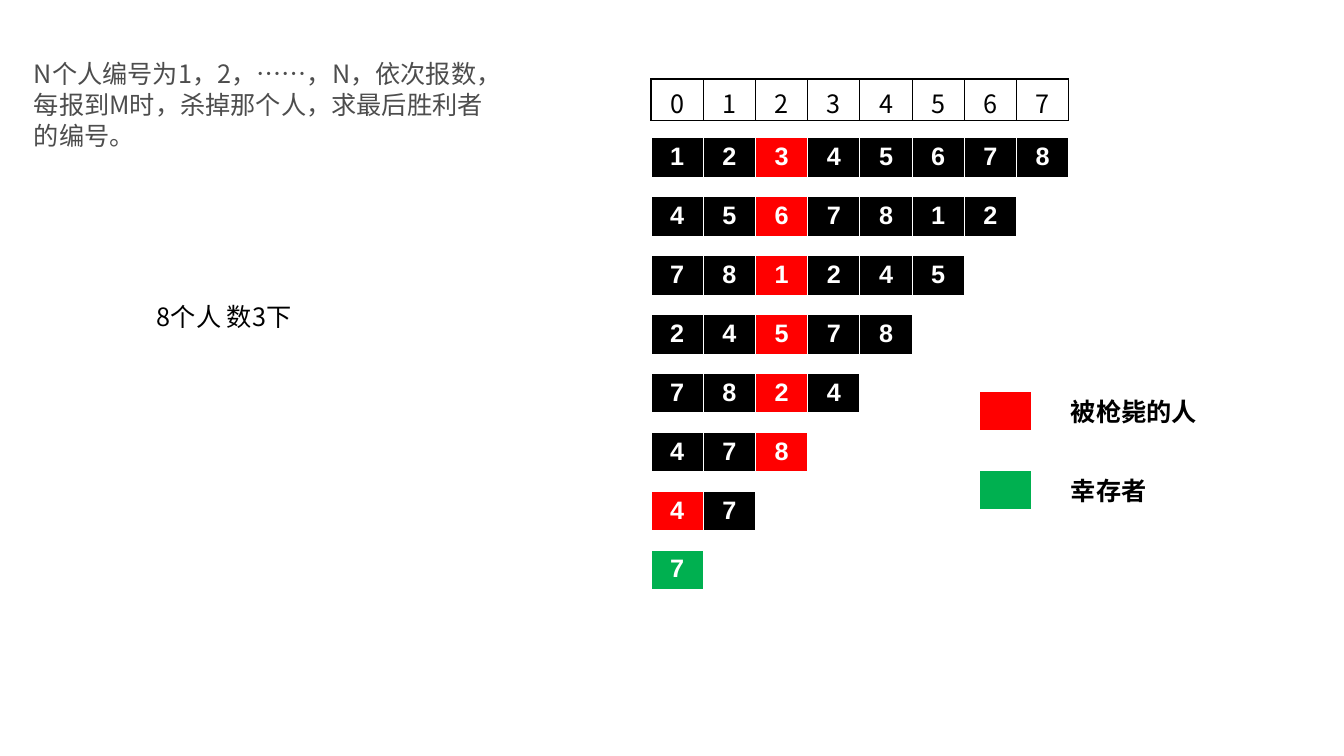
"""Build the Josephus elimination slide: eight people, counting to three."""
from lxml import etree
from pptx import Presentation
from pptx.dml.color import RGBColor
from pptx.enum.text import MSO_AUTO_SIZE, PP_ALIGN
from pptx.oxml.ns import qn
from pptx.util import Pt

PX = 914400 / 100.8
CENTER = PP_ALIGN.CENTER
FIT_SHAPE = MSO_AUTO_SIZE.SHAPE_TO_FIT_TEXT
BLACK, WHITE, GREY, RED, GREEN = "000000", "FFFFFF", "4D4D4D", "FF0000", "00B050"
SANS, CJK = "Arial", "Noto Sans CJK SC"
LEFT, TOP = 651, 79
COL, ROW, STEP = 418 / 8, 41, 471 / 8
PEOPLE, COUNT = 8, 3

prs = Presentation()
prs.slide_width, prs.slide_height = round(1344 * PX), round(756 * PX)
s = prs.slides.add_slide(prs.slide_layouts[6])


def style(p, font, color, bold):
    """Format every run of a paragraph."""
    for r in p.runs:
        r.font.size, r.font.name, r.font.bold = Pt(18), font, bold
        r.font.color.rgb = RGBColor.from_string(color)
        etree.SubElement(r._r.get_or_add_rPr(), qn("a:ea")).set("typeface", CJK)


def add_row(x, y, values, fills, color=WHITE, font=SANS, line=WHITE, bottom=3):
    """Add a one-row table with one fill per cell, None for no fill."""
    n = len(values)
    frame = s.shapes.add_table(1, n, *[round(v * PX) for v in (x, y, COL * n, ROW)])
    tbl = frame.table
    tbl.first_row = tbl.horz_banding = False
    for column, cell, value, fill in zip(tbl.columns, tbl.rows[0].cells, values, fills):
        column.width = round(COL * PX)
        cell.text = str(value)
        p = cell.text_frame.paragraphs[0]
        p.alignment, p.font.size = CENTER, Pt(18)
        style(p, font, color, font == SANS)
        tcPr = cell._tc.get_or_add_tcPr()
        for side, width in zip("LRTB", (1, 1, 1, bottom)):
            ln = etree.SubElement(tcPr, qn(f"a:ln{side}"), w=str(Pt(width)))
            solid = etree.SubElement(ln, qn("a:solidFill"))
            etree.SubElement(solid, qn("a:srgbClr"), val=line)
        if fill:
            cell.fill.solid()
            cell.fill.fore_color.rgb = RGBColor.from_string(fill)
        else:
            cell.fill.background()
            cell.margin_bottom = 0


add_row(LEFT, TOP, range(PEOPLE), [None] * PEOPLE, BLACK, CJK, BLACK, 1)

circle = list(range(1, PEOPLE + 1))
for i in range(1, PEOPLE + 1):
    shot = (COUNT - 1) % len(circle)
    fills = [BLACK] * len(circle)
    fills[shot] = RED if len(circle) > 1 else GREEN
    add_row(LEFT, TOP + i * STEP, circle, fills)
    circle = circle[shot + 1:] + circle[:shot]

for y, fill in ((391, RED), (470, GREEN)):
    add_row(979, y, [""], [fill])

texts = [
    (24, 53, 474, 102, "N个人编号为1，2，……，N，依次报数，每报到M时，杀掉那个人，求最后胜利者的编号。",
     CJK, GREY, True),
    (147, 296, 206, 40, "8个人 数3下", CJK, BLACK, True),
    (1061, 391, 147, 40, "被枪毙的人", SANS, BLACK, False),
    (1061, 470, 97, 40, "幸存者", SANS, BLACK, False),
]
for x, y, w, h, text, font, color, wrap in texts:
    sp = s.shapes.add_textbox(*[round(v * PX) for v in (x, y, w, h)])
    tf = sp.text_frame
    tf.word_wrap, tf.auto_size = wrap, FIT_SHAPE
    tf.text = text
    p = tf.paragraphs[0]
    p.line_spacing = Pt(22)
    style(p, font, color, font == SANS)

prs.save("out.pptx")
